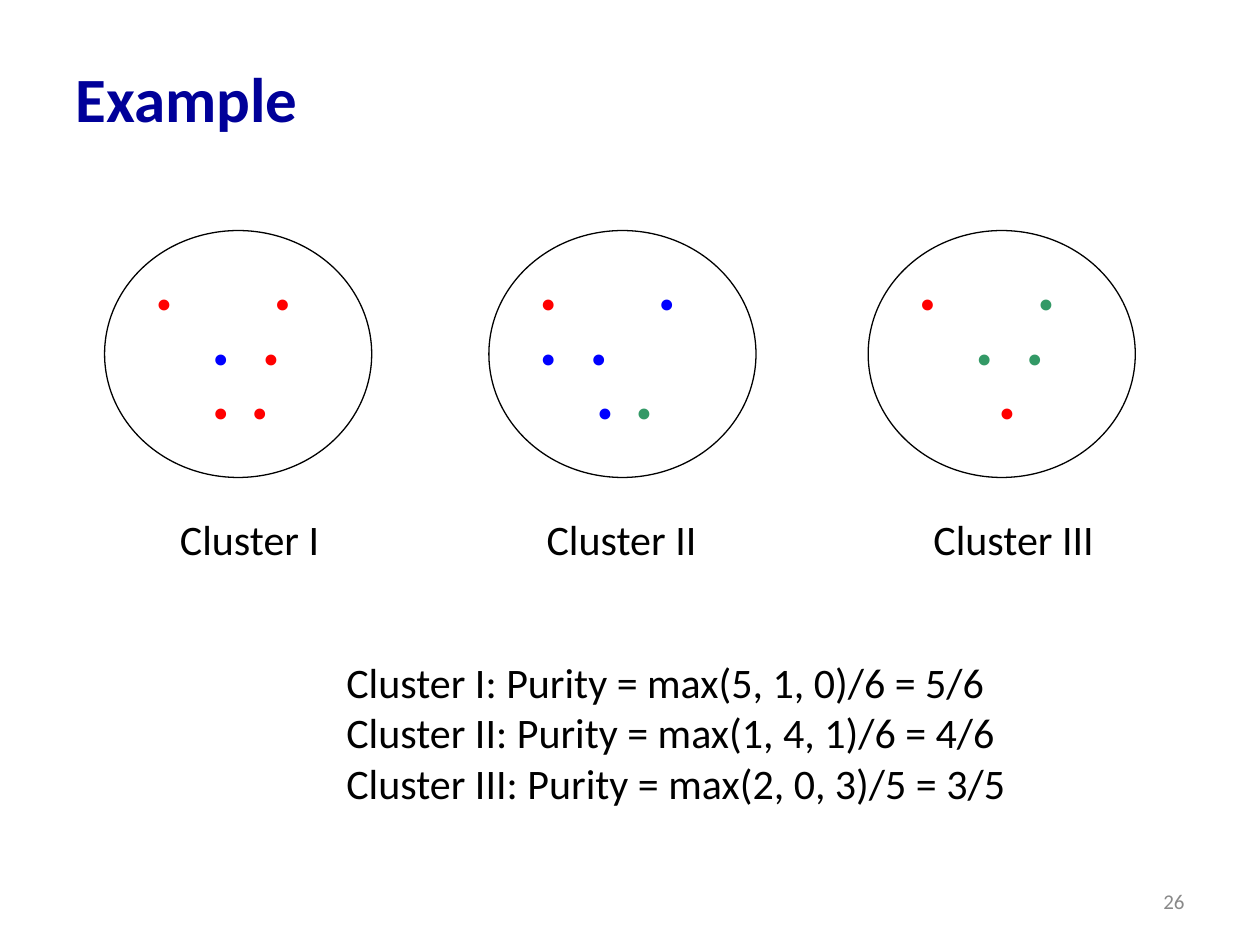
from lxml import etree
from pptx import Presentation
from pptx import util as u
from pptx.dml.color import RGBColor
from pptx.enum import shapes, text
from pptx.oxml.ns import qn

RED, BLUE, GREEN, BLACK = "FF0000", "0000FF", "339966", "000000"
CLUSTERS = [
    (0.83, [[(0, RED), (0.94, RED)], [(0.45, BLUE), (0.85, RED)], [(0.45, RED), (0.76, RED)]]),
    (3.88, [[(0, RED), (0.94, BLUE)], [(0, BLUE), (0.4, BLUE)], [(0.45, BLUE), (0.76, GREEN)]]),
    (6.89, [[(0, RED), (0.94, GREEN)], [(0.45, GREEN), (0.85, GREEN)], [(0.63, RED)]]),
]
PURITIES = [
    "Cluster I: Purity = max(5, 1, 0)/6 = 5/6",
    "Cluster II: Purity = max(1, 4, 1)/6 = 4/6",
    "Cluster III: Purity = max(2, 0, 3)/5 = 3/5",
]


def color(value):
    return RGBColor.from_string(value)


def place(shape, left, top, width, height):
    shape.left, shape.top = u.Inches(left), u.Inches(top)
    shape.width, shape.height = u.Inches(width), u.Inches(height)


def format_run(run, size, fill, name="Calibri", bold=False):
    run.font.name = name
    run.font.size = u.Pt(size)
    run.font.bold = bold
    run.font.color.rgb = color(fill)


def set_tabs(paragraph, positions):
    tab_list = etree.SubElement(paragraph._p.get_or_add_pPr(), qn("a:tabLst"))
    for position in positions:
        tab = etree.SubElement(tab_list, qn("a:tab"))
        tab.set("pos", str(u.Inches(position)))
        tab.set("algn", "l")


def add_title(slide, title):
    shape = slide.shapes.title
    place(shape, 0.5, 0.42, 8.35, 0.7)
    frame = shape.text_frame
    frame.text = title
    frame.vertical_anchor = text.MSO_ANCHOR.MIDDLE
    frame.paragraphs[0].alignment = text.PP_ALIGN.LEFT
    format_run(frame.paragraphs[0].runs[0], 36, "000099", bold=True)


def add_text(slide, box, lines, size=24, fill=BLACK):
    shape = slide.shapes.add_textbox(*map(u.Inches, box))
    frame = shape.text_frame
    frame.word_wrap = True
    frame.text = "\n".join(lines)
    for paragraph in frame.paragraphs:
        for run in paragraph.runs:
            format_run(run, size, fill)
    return frame


def add_dot_row(paragraph, dots):
    paragraph.alignment = text.PP_ALIGN.LEFT
    paragraph.line_spacing = u.Pt(31.1)
    set_tabs(paragraph, [offset for offset, _ in dots if offset])
    for offset, fill in dots:
        run = paragraph.add_run()
        run.text = "\t•" if offset else "•"
        format_run(run, 25.9, fill, "Times New Roman")


def add_cluster(slide, left, rows):
    box = map(u.Inches, (left, 1.83, 2.12, 1.96))
    shape = slide.shapes.add_shape(shapes.MSO_SHAPE.OVAL, *box)
    shape.shadow.inherit = False
    shape.fill.solid()
    shape.fill.fore_color.rgb = color("FFFFFF")
    shape.line.color.rgb = color(BLACK)
    shape.line.width = u.Pt(0.75)
    frame = shape.text_frame
    frame.word_wrap = True
    frame.vertical_anchor = text.MSO_ANCHOR.TOP
    frame.margin_top = u.Inches(0.07)
    for index, dots in enumerate(rows):
        paragraph = frame.add_paragraph() if index else frame.paragraphs[0]
        add_dot_row(paragraph, dots)


def main():
    presentation = Presentation()
    presentation.slide_width = u.Inches(10)
    presentation.slide_height = u.Inches(7.5)
    slide = presentation.slides.add_slide(presentation.slide_layouts[5])
    add_title(slide, "Example")
    for left, rows in CLUSTERS:
        add_cluster(slide, left, rows)
    labels = add_text(slide, (1.33, 4.03, 8.17, 0.5), ["Cluster I\tCluster II\tCluster III"])
    set_tabs(labels.paragraphs[0], [2.91, 5.98])
    add_text(slide, (2.65, 5.16, 7.35, 1.75), PURITIES)
    number = add_text(slide, (7.17, 6.95, 2.33, 0.4), ["26"], 12, "898989")
    number.vertical_anchor = text.MSO_ANCHOR.MIDDLE
    number.paragraphs[0].alignment = text.PP_ALIGN.RIGHT
    presentation.save("out.pptx")


if __name__ == "__main__":
    main()
